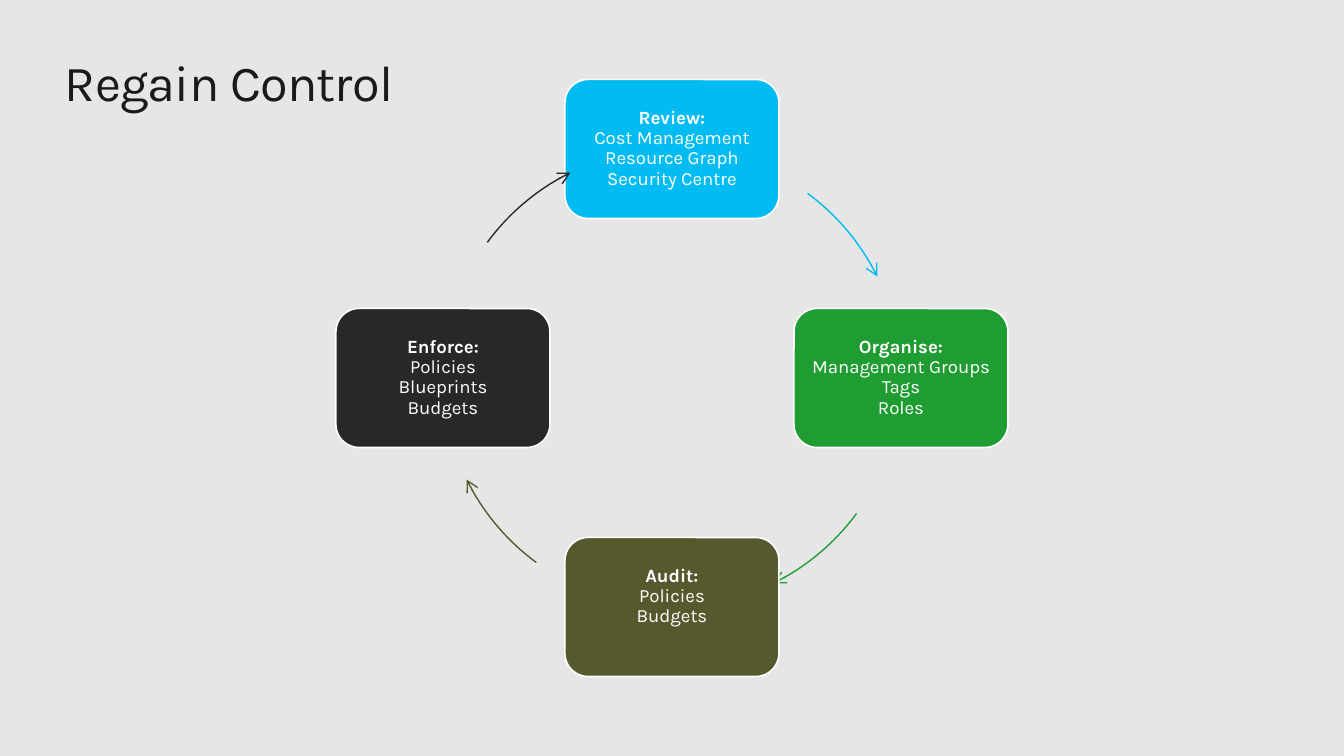
from math import cos, radians, sin

from lxml import etree
from pptx import Presentation
from pptx.dml.color import RGBColor
from pptx.enum.shapes import MSO_SHAPE
from pptx.enum.text import MSO_ANCHOR, PP_ALIGN
from pptx.oxml.ns import qn
from pptx.util import Pt

EMU_PER_PX = 914400 / 134.4
ROUNDED = MSO_SHAPE.ROUNDED_RECTANGLE
ARC = MSO_SHAPE.ARC
TOP = MSO_ANCHOR.TOP
CENTER = PP_ALIGN.CENTER

FONT = "Karla"
WHITE = "FFFFFF"
CARD_WIDTH, CARD_HEIGHT = 214, 139
ARC_START, ARC_END = 36.3, 63.7
ARC_UNITS_PER_DEGREE = 0.6

STAGES = [
    ("Review:", ["Cost Management", "Resource Graph", "Security Centre"], "00BCF2"),
    ("Organise:", ["Management Groups", "Tags", "Roles"], "1F9D32"),
    ("Audit:", ["Policies", "Budgets"], "56592D"),
    ("Enforce:", ["Policies", "Blueprints", "Budgets"], "282828"),
]


def px(value):
    """Turn pixels into EMU."""
    return round(value * EMU_PER_PX)


def color(hex_string):
    """Turn a hex string into a colour."""
    return RGBColor.from_string(hex_string)


def set_margins(text_frame, left, top, right, bottom):
    """Set the four text insets in pixels."""
    text_frame.margin_left, text_frame.margin_top = px(left), px(top)
    text_frame.margin_right, text_frame.margin_bottom = px(right), px(bottom)


def format_run(run, size, hex_string, bold=False):
    """Apply font, size, colour and weight to a run."""
    run.font.name = FONT
    run.font.size = Pt(size)
    run.font.bold = bold
    run.font.color.rgb = color(hex_string)


def add_title(slide, left, top, width, height):
    """Place the slide title in the given box."""
    box = slide.shapes.add_textbox(px(left), px(top), px(width), px(height))
    text_frame = box.text_frame
    text_frame.word_wrap = True
    set_margins(text_frame, 0, 0, 0, 0)
    text_frame.text = "Regain Control"
    run = text_frame.paragraphs[0].runs[0]
    format_run(run, 27, "1A1A1A")
    run._r.get_or_add_rPr().set("spc", "-40")


def add_card(slide, center_x, center_y, heading, items, fill):
    """Place a rounded stage card around a centre point."""
    card = slide.shapes.add_shape(
        ROUNDED,
        px(center_x - CARD_WIDTH / 2), px(center_y - CARD_HEIGHT / 2),
        px(CARD_WIDTH), px(CARD_HEIGHT),
    )
    card.shadow.inherit = False
    card.fill.solid()
    card.fill.fore_color.rgb = color(fill)
    card.line.color.rgb = color(WHITE)
    card.line.width = Pt(0.85)
    text_frame = card.text_frame
    text_frame.word_wrap = True
    text_frame.vertical_anchor = TOP
    set_margins(text_frame, 5, 22, 5, 5)
    paragraph = text_frame.paragraphs[0]
    paragraph.text = "\v".join([heading, *items])
    paragraph.alignment = CENTER
    paragraph.line_spacing = 0.9
    for index, run in enumerate(paragraph.runs):
        format_run(run, 10, WHITE, bold=index == 0)


def add_arc_arrow(slide, left, top, diameter, start, end, hex_string):
    """Place a clockwise arrow on a circle between two angles in degrees."""
    arc = slide.shapes.add_shape(ARC, px(left), px(top), px(diameter), px(diameter))
    arc.shadow.inherit = False
    arc.adjustments[0] = start % 360 * ARC_UNITS_PER_DEGREE
    arc.adjustments[1] = end % 360 * ARC_UNITS_PER_DEGREE
    arc.fill.background()
    arc.line.color.rgb = color(hex_string)
    arc.line.width = Pt(0.75)
    line = arc.line._get_or_add_ln()
    etree.SubElement(line, qn("a:tailEnd"), type="arrow")


def add_cycle(slide, left, top, diameter):
    """Place the stages and their arrows clockwise on a circle."""
    radius = diameter / 2
    for index, (heading, items, fill) in enumerate(STAGES):
        angle = index * 360 / len(STAGES) - 90
        center_x = left + radius + radius * cos(radians(angle))
        center_y = top + radius + radius * sin(radians(angle))
        add_card(slide, center_x, center_y, heading, items, fill)
        add_arc_arrow(slide, left, top, diameter, angle + ARC_START, angle + ARC_END, fill)


def main():
    """Build and save the slide."""
    presentation = Presentation()
    presentation.slide_width, presentation.slide_height = px(1344), px(756)
    slide = presentation.slides.add_slide(presentation.slide_layouts[6])
    slide.background.fill.solid()
    slide.background.fill.fore_color.rgb = color("E6E6E6")
    add_title(slide, 65, 51, 1215, 60)
    add_cycle(slide, 443, 149, 458)
    presentation.save("out.pptx")


if __name__ == "__main__":
    main()
